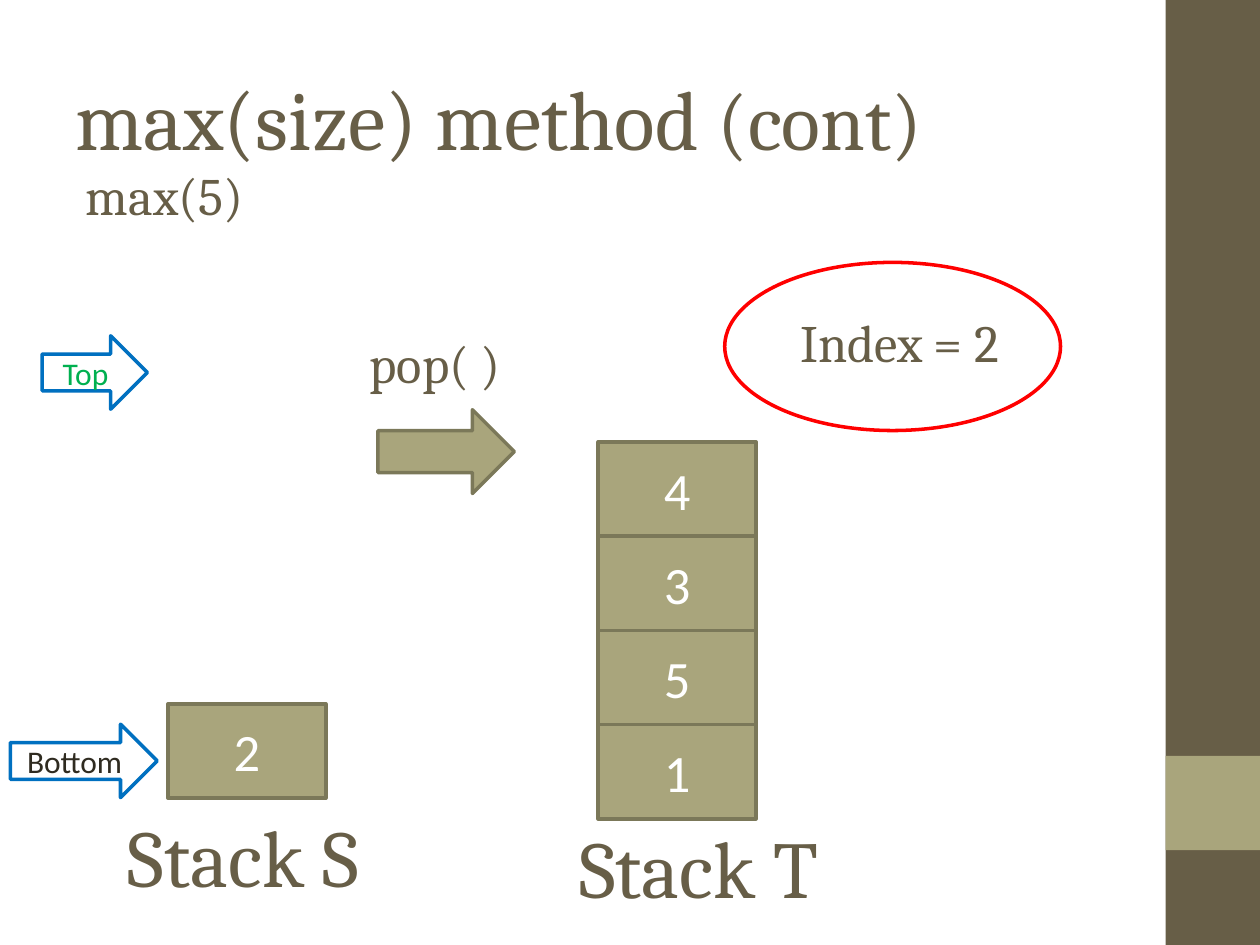
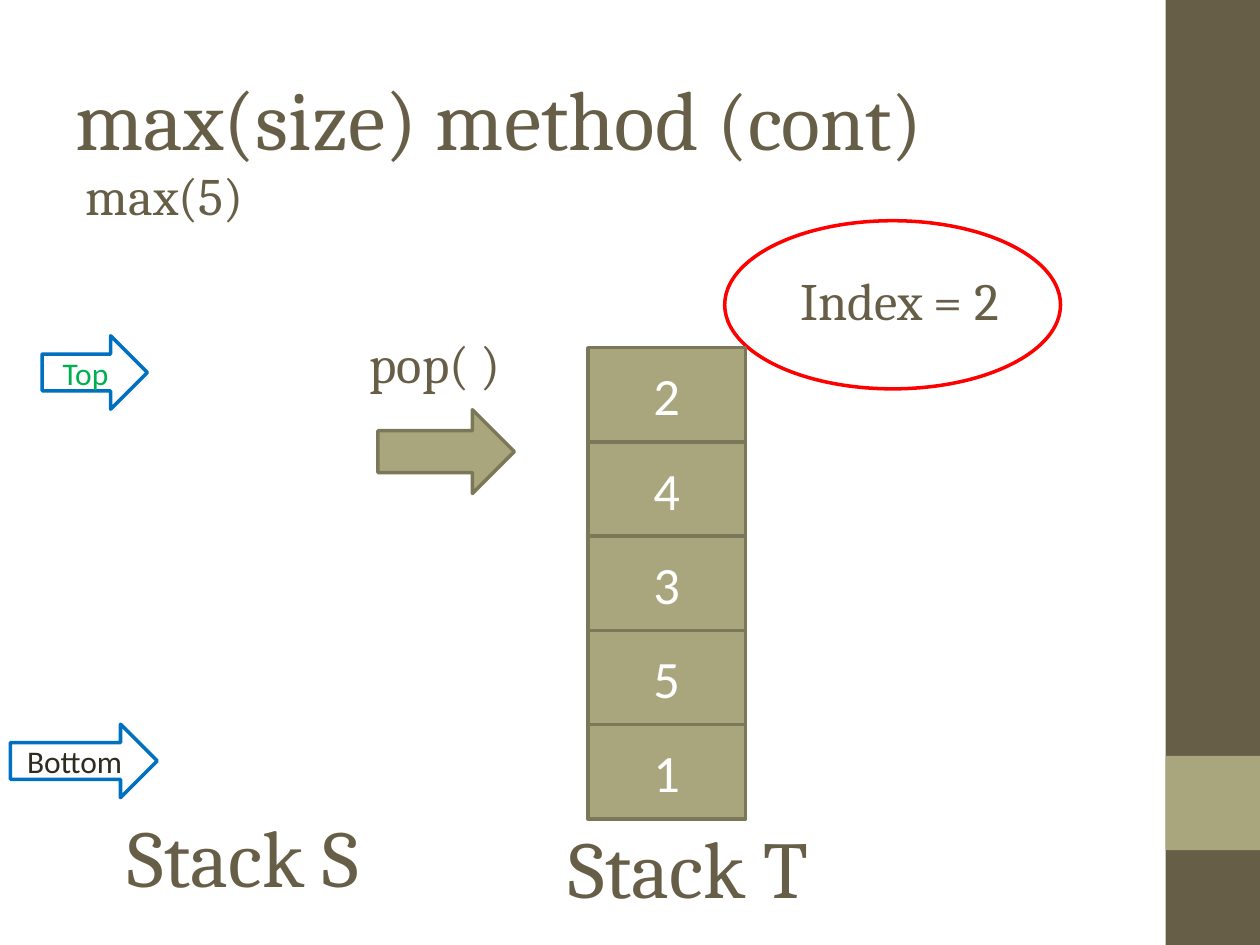
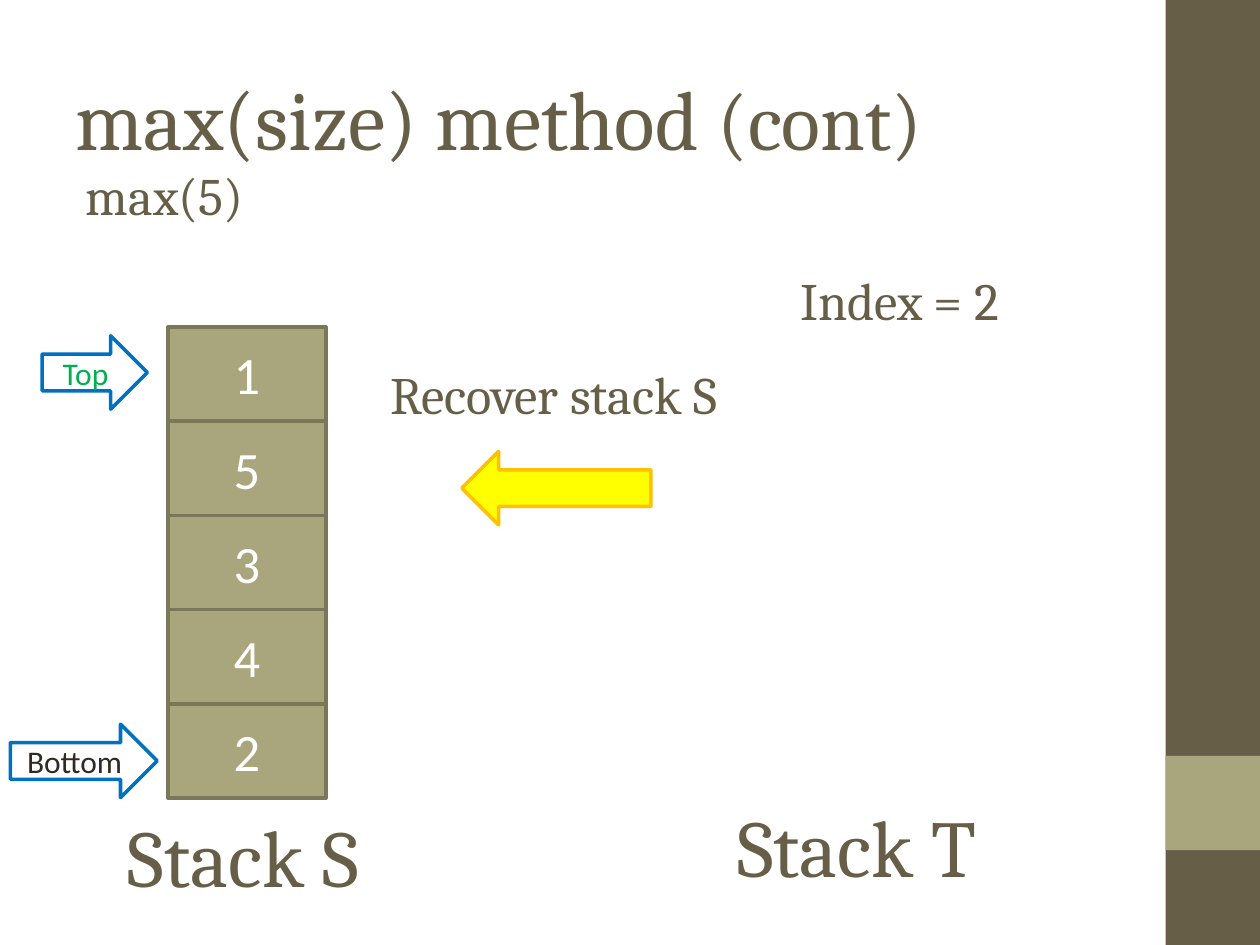
from pptx import Presentation
from pptx.dml.color import RGBColor
from pptx.enum.shapes import MSO_SHAPE as Shape
from pptx.enum.text import MSO_ANCHOR as Anchor, MSO_AUTO_SIZE as AutoSize, PP_ALIGN as Align
from pptx.util import Cm, Pt

BROWN, OLIVE, OLIVE_EDGE = "675E47", "A9A57C", "7B7859"
WHITE, BLUE, GREEN, INK = "FFFFFF", "0070C0", "00B050", "2F2B20"
RED, YELLOW, ORANGE = "FF0000", "FFFF00", "FFC000"
SERIF, SANS = "Cambria", "Calibri"
CELL_WIDTH, CELL_HEIGHT, LINE_HEIGHT = 3.18, 1.9, 3.18


def color(value):
    """Turn a hex string into a colour."""
    return RGBColor.from_string(value)


def write(frame, text, size=30, font=SERIF, ink=BROWN, align=Align.LEFT):
    """Append formatted text to the first paragraph of a frame."""
    frame.word_wrap = True
    frame.auto_size = AutoSize.NONE
    frame.vertical_anchor = Anchor.MIDDLE
    para = frame.paragraphs[0]
    para.alignment = align
    span = para.add_run()
    span.text = text
    span.font.size = Pt(size)
    span.font.name = font
    span.font.color.rgb = color(ink)


def add_label(page, text, left, top, width, **style):
    """Add a one-line text box."""
    box = page.shapes.add_textbox(Cm(left), Cm(top), Cm(width), Cm(LINE_HEIGHT))
    write(box.text_frame, text, **style)


def add_figure(page, kind, left, top, width, height, fill=OLIVE, edge=None):
    """Add a filled preset shape, outlined when an edge colour is given."""
    figure = page.shapes.add_shape(kind, Cm(left), Cm(top), Cm(width), Cm(height))
    figure.shadow.inherit = False
    figure.fill.solid()
    figure.fill.fore_color.rgb = color(fill)
    if edge:
        figure.line.color.rgb = color(edge)
        figure.line.width = Pt(2)
    else:
        figure.line.fill.background()
    return figure


def add_pointer(page, text, left, top, width, ink):
    """Add a white arrow that names one end of a stack."""
    arrow = add_figure(page, Shape.RIGHT_ARROW, left, top, width, 1.48, WHITE, BLUE)
    write(arrow.text_frame, text, size=18, font=SANS, ink=ink, align=Align.CENTER)


def add_stack(page, values, left, bottom):
    """Pile up cells, with the first value at the bottom."""
    for level, value in enumerate(values, start=1):
        cell = add_figure(page, Shape.RECTANGLE, left, bottom - level * CELL_HEIGHT,
                          CELL_WIDTH, CELL_HEIGHT, edge=OLIVE_EDGE)
        write(cell.text_frame, value, font=SANS, ink=WHITE, align=Align.CENTER)


def add_index(page, top, circled):
    """Show the index, in a red ellipse if circled."""
    if circled:
        add_figure(page, Shape.OVAL, 14.61, top, 6.77, 3.39, WHITE, RED)
    add_label(page, "Index = 2", 15.88, top, 5.08)


def add_pop(page):
    """Show the pop step from stack S to stack T."""
    add_label(page, "pop( )", 7.2, 5.72, 4.23)
    add_figure(page, Shape.RIGHT_ARROW, 7.62, 8.26, 2.75, 1.69, edge=OLIVE_EDGE)


def add_recover(page):
    """Show the step that moves everything back to stack S."""
    add_label(page, "Recover stack S", 7.62, 6.35, 7.2)
    arrow = add_figure(page, Shape.RIGHT_ARROW, 9.31, 9.1, 3.81, 1.48, YELLOW, ORANGE)
    arrow.rotation = 180


def move_bands_to_layout(page):
    """Draw the side bands and keep them in the layout of the page."""
    side = add_figure(page, Shape.RECTANGLE, 23.5, 0, 1.9, 19.05, BROWN)
    accent = add_figure(page, Shape.RECTANGLE, 23.5, 15.24, 1.9, 1.9)
    for order, band in enumerate((side, accent)):
        band.element.nvSpPr.cNvPr.id = 20 + order
        page.slide_layout.shapes.element.insert(2 + order, band.element)


def add_page(deck):
    """Add a slide with the shared title."""
    page = deck.slides.add_slide(deck.slide_layouts[5])
    title = page.shapes.title
    title.left, title.top, title.width, title.height = Cm(1.27), Cm(0.76), Cm(21.17), Cm(3.18)
    write(title.text_frame, "max(size) method ", size=48)
    write(title.text_frame, "(cont)", size=46)
    return page


def add_stacks(page, stack_s, stack_t, t_left, t_label):
    """Add both stacks with their names and the pointers to stack S."""
    add_label(page, "max(5)", 1.48, 2.33, 21.17)
    add_stack(page, stack_s, 3.39, 16.09)
    add_stack(page, stack_t, t_left, 16.51)
    add_pointer(page, "Top", 0.85, 6.77, 2.12, GREEN)
    add_pointer(page, "Bottom", 0.21, 14.6, 2.96, INK)
    add_label(page, "Stack S", 2.33, 15.66, 5.93, size=46)
    add_label(page, "Stack T", *t_label, 5.93, size=46)


def main():
    """Build the three steps of the method."""
    deck = Presentation()
    deck.slide_width, deck.slide_height = Cm(25.4), Cm(19.05)

    page = add_page(deck)
    move_bands_to_layout(page)
    add_index(page, 5.29, circled=True)
    add_stacks(page, "2", "1534", 12.06, (11.43, 15.88))
    add_pop(page)

    page = add_page(deck)
    add_index(page, 4.45, circled=True)
    add_stacks(page, "", "15342", 11.85, (11.22, 15.88))
    add_pop(page)

    page = add_page(deck)
    add_index(page, 4.45, circled=False)
    add_stacks(page, "24351", "", 11.85, (14.61, 15.45))
    add_recover(page)

    deck.save("out.pptx")


if __name__ == "__main__":
    main()
